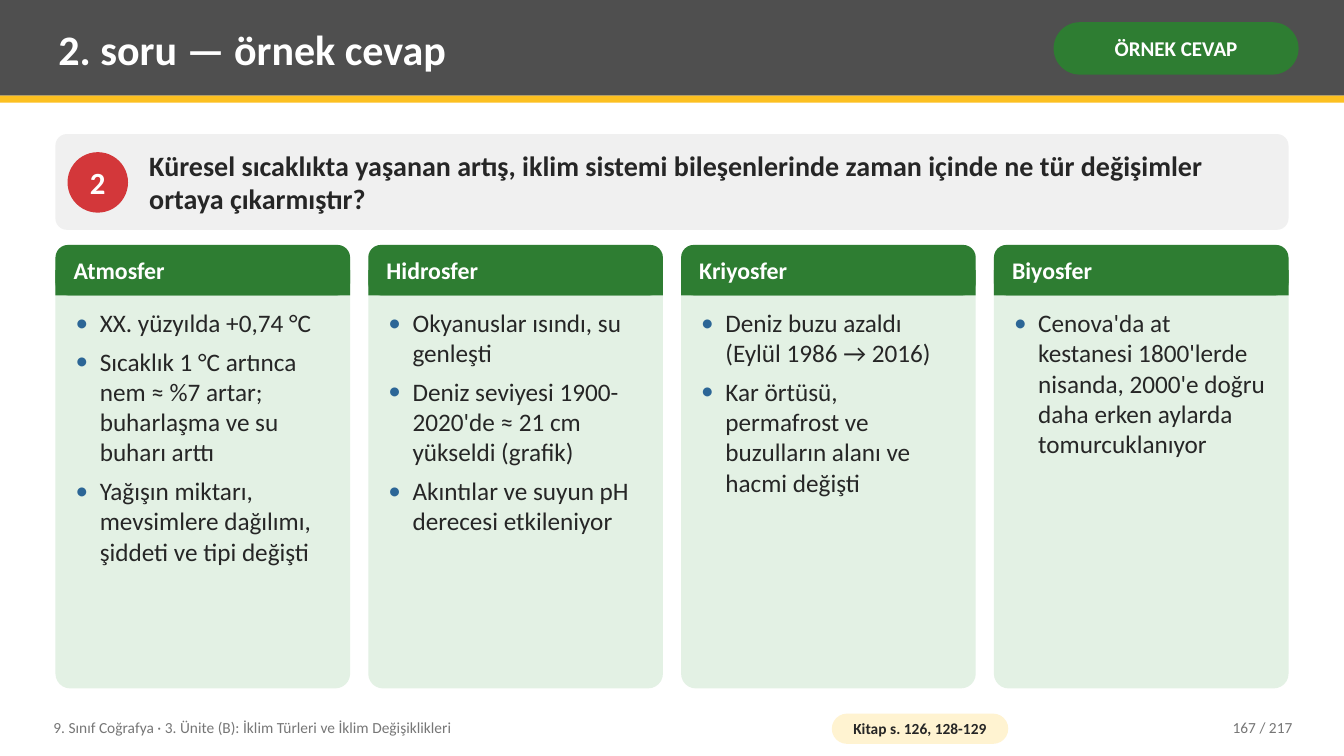
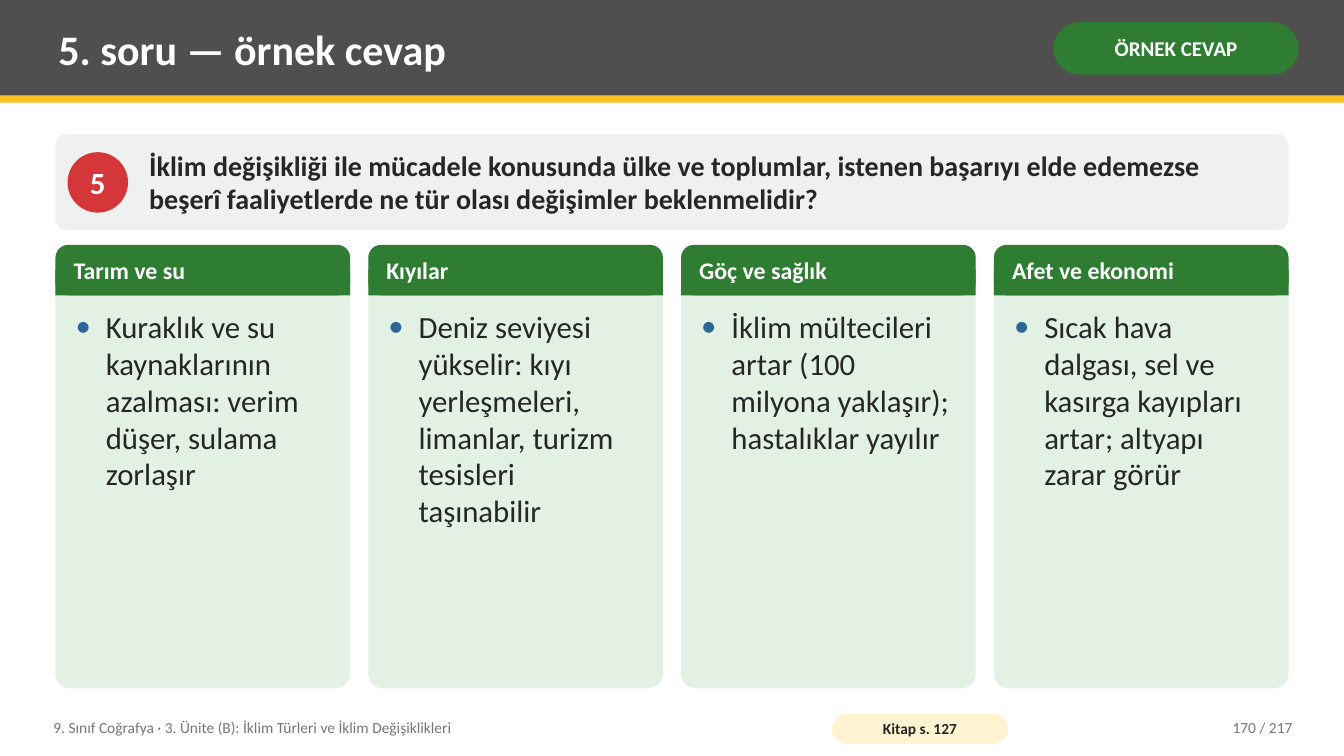
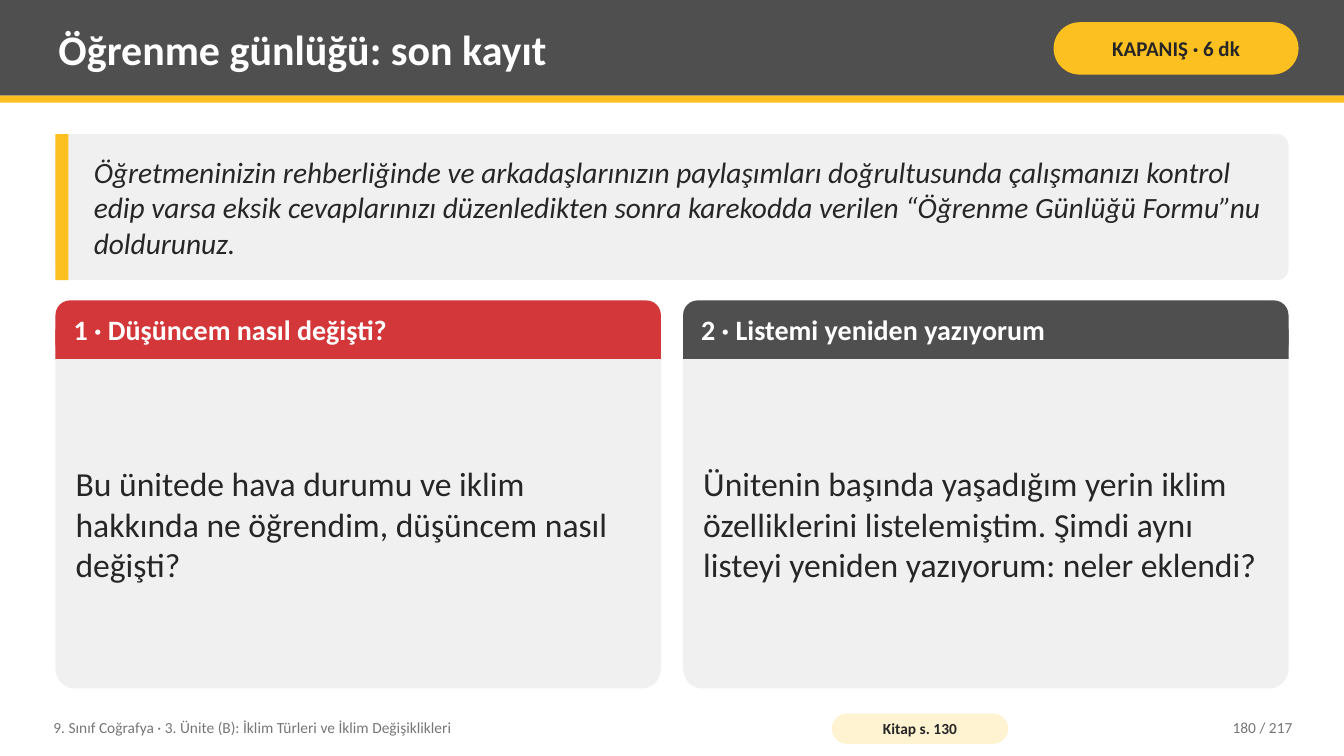
from lxml.etree import SubElement
from pptx import Presentation
from pptx.dml.color import RGBColor
from pptx.enum.shapes import MSO_SHAPE as SHAPE
from pptx.enum.text import MSO_ANCHOR as ANCHOR, PP_ALIGN as ALIGN
from pptx.oxml.ns import qn
from pptx.util import Inches, Pt

WHITE = RGBColor(0xFF, 0xFF, 0xFF)
INK = RGBColor(0x26, 0x26, 0x26)
MUTED = RGBColor(0x76, 0x76, 0x76)
DARK = RGBColor(0x4F, 0x4F, 0x4F)
PALE = RGBColor(0xF0, 0xF0, 0xF0)
YELLOW = RGBColor(0xFC, 0xC0, 0x21)
CREAM = RGBColor(0xFF, 0xF3, 0xD1)
GREEN = RGBColor(0x2E, 0x7D, 0x32)
MINT = RGBColor(0xE3, 0xF1, 0xE4)
RED = RGBColor(0xD3, 0x37, 0x3A)
BLUE = RGBColor(0x2C, 0x66, 0x96)

FONT = "Calibri"
WIDTH, HEIGHT = 13.33, 7.5
LEFT, TOP, CONTENT_W, BOTTOM = 0.55, 1.33, 12.23, 6.83
FOOTER = "9. Sınıf Coğrafya · 3. Ünite (B): İklim Türleri ve İklim Değişiklikleri"
TEXT_INSETS = (0.08, 0.04)


def draw(slide, kind, box, fill, adj=None):
    """Add a flat, borderless preset shape."""
    sp = slide.shapes.add_shape(kind, *map(Inches, box))
    sp.shadow.inherit = False
    sp.fill.solid()
    sp.fill.fore_color.rgb = fill
    sp.line.fill.background()
    if adj is not None:
        sp.adjustments[0] = adj
    return sp


def add_bullet(p, size):
    """Give a paragraph a blue bullet with a hanging indent."""
    pPr = p._p.get_or_add_pPr()
    hang = Inches(0.24 if size < 20 else 0.3)
    pPr.set("marL", str(hang))
    pPr.set("indent", str(-hang))
    SubElement(SubElement(pPr, qn("a:buClr")), qn("a:srgbClr"), val=str(BLUE))
    SubElement(pPr, qn("a:buFont"), typeface=FONT)
    SubElement(pPr, qn("a:buChar"), char="•")


def write(sp, lines, size, color, align=ALIGN.LEFT, anchor=ANCHOR.MIDDLE,
          insets=TEXT_INSETS, wrap=True, bullets=False, **style):
    """Fill a shape with one formatted paragraph per line."""
    tf = sp.text_frame
    dx, dy = map(Inches, insets)
    frame = {"word_wrap": wrap, "vertical_anchor": anchor, "margin_left": dx,
             "margin_right": dx, "margin_top": dy, "margin_bottom": dy}
    for name, value in frame.items():
        setattr(tf, name, value)
    for i, line in enumerate(lines):
        p = tf.add_paragraph() if i else tf.paragraphs[0]
        p.alignment = align
        if bullets:
            add_bullet(p, size)
            if i < len(lines) - 1:
                p.space_after = Pt(6)
        r = p.add_run()
        r.text = line
        r.font.color.rgb = color
        for name, value in {"name": FONT, "size": Pt(size), **style}.items():
            setattr(r.font, name, value)


def label(slide, box, lines, size, color, **options):
    """Add a text box."""
    write(slide.shapes.add_textbox(*map(Inches, box)), lines, size, color, **options)


def pill(slide, box, text, size, fill, color, insets):
    """Add a fully rounded label with centred bold text."""
    sp = draw(slide, SHAPE.ROUNDED_RECTANGLE, box, fill, 0.5)
    write(sp, [text], size, color, align=ALIGN.CENTER, insets=insets, bold=True)


def header(slide, title, tag, tag_fill, tag_color):
    """Draw the title band with its tag."""
    draw(slide, SHAPE.RECTANGLE, (0, 0, WIDTH, 0.95), DARK)
    draw(slide, SHAPE.RECTANGLE, (0, 0.95, WIDTH, 0.07), YELLOW)
    label(slide, (0.5, 0.07, 9.75, 0.82), [title], 30, WHITE, bold=True)
    pill(slide, (10.45, 0.22, 2.43, 0.52), tag, 15, tag_fill, tag_color, (0.05, 0.02))


def footer(slide, pages, number):
    """Draw the course name, book pages and slide number."""
    label(slide, (0.45, 7.04, 7.6, 0.36), [FOOTER], 11, MUTED)
    pill(slide, (8.25, 7.08, 1.75, 0.3), pages, 11, CREAM, INK, (0.04, 0))
    label(slide, (11.3, 7.04, 1.6, 0.36), [f"{number} / 217"], 11, MUTED, align=ALIGN.RIGHT)


def question_bar(slide, box, number, question):
    """Draw a numbered question on a pale panel."""
    x, y, w, h = box
    draw(slide, SHAPE.ROUNDED_RECTANGLE, box, PALE, 0.12)
    badge = draw(slide, SHAPE.OVAL, (x + 0.12, y + 0.18, 0.6, 0.6), RED)
    write(badge, [number], 22, WHITE, align=ALIGN.CENTER, insets=(0, 0), wrap=False, bold=True)
    label(slide, (x + 0.85, y, w - 0.95, h), [question], 20, INK, bold=True)


def instruction_bar(slide, box, text):
    """Draw an italic instruction with a yellow edge."""
    x, y, w, h = box
    draw(slide, SHAPE.ROUNDED_RECTANGLE, box, PALE, 0.08)
    draw(slide, SHAPE.RECTANGLE, (x, y, 0.13, h), YELLOW)
    label(slide, (x + 0.3, y, w - 0.45, h), [text], 21, INK, italic=True)


def card(slide, box, head_h, title, title_size, head_fill, body_fill, lines, size, **options):
    """Draw a card with a coloured heading above its text."""
    x, y, w, h = box
    draw(slide, SHAPE.ROUNDED_RECTANGLE, box, body_fill, 0.05)
    draw(slide, SHAPE.ROUNDED_RECTANGLE, (x, y, w, head_h), head_fill, 0.25)
    draw(slide, SHAPE.RECTANGLE, (x, y + head_h / 2, w, head_h / 2), head_fill)
    label(slide, (x + 0.1, y, w - 0.2, head_h), [title], title_size, WHITE, bold=True)
    label(slide, (x + 0.12, y + head_h + 0.08, w - 0.24, h - head_h - 0.16),
          lines, size, INK, **options)


def columns(count, gap, top):
    """Return equal column boxes from top to the content bottom."""
    w = (CONTENT_W - gap * (count - 1)) / count
    return [(LEFT + i * (w + gap), top, w, BOTTOM - top) for i in range(count)]


def answer_slide(slide, number, question, answers, size, pages, page):
    """Build a sample answer slide with one card per theme."""
    header(slide, f"{number}. soru — örnek cevap", "ÖRNEK CEVAP", GREEN, WHITE)
    question_bar(slide, (LEFT, TOP, CONTENT_W, 0.95), number, question)
    for box, (title, lines) in zip(columns(len(answers), 0.18, 2.43), answers.items()):
        card(slide, box, 0.5, title, 17, GREEN, MINT, lines, size,
             anchor=ANCHOR.TOP, bullets=True)
    footer(slide, pages, page)


def journal_slide(slide, title, tag, instruction, prompts, pages, page):
    """Build the closing journal slide with one card per prompt."""
    header(slide, title, tag, YELLOW, INK)
    instruction_bar(slide, (LEFT, TOP, CONTENT_W, 1.45), instruction)
    for box, (heading, fill, text) in zip(columns(len(prompts), 0.22, 2.98), prompts):
        card(slide, box, 0.58, heading, 20, fill, PALE, [text], 24)
    footer(slide, pages, page)


CLIMATE_ANSWERS = {
    "Atmosfer": [
        "XX. yüzyılda +0,74 °C",
        "Sıcaklık 1 °C artınca nem ≈ %7 artar; buharlaşma ve su buharı arttı",
        "Yağışın miktarı, mevsimlere dağılımı, şiddeti ve tipi değişti",
    ],
    "Hidrosfer": [
        "Okyanuslar ısındı, su genleşti",
        "Deniz seviyesi 1900-2020'de ≈ 21 cm yükseldi (grafik)",
        "Akıntılar ve suyun pH derecesi etkileniyor",
    ],
    "Kriyosfer": [
        "Deniz buzu azaldı (Eylül 1986 → 2016)",
        "Kar örtüsü, permafrost ve buzulların alanı ve hacmi değişti",
    ],
    "Biyosfer": [
        "Cenova'da at kestanesi 1800'lerde nisanda, 2000'e doğru daha erken aylarda "
        "tomurcuklanıyor",
    ],
}
SOCIETY_ANSWERS = {
    "Tarım ve su": ["Kuraklık ve su kaynaklarının azalması: verim düşer, sulama zorlaşır"],
    "Kıyılar": ["Deniz seviyesi yükselir: kıyı yerleşmeleri, limanlar, turizm tesisleri "
                "taşınabilir"],
    "Göç ve sağlık": ["İklim mültecileri artar (100 milyona yaklaşır); hastalıklar yayılır"],
    "Afet ve ekonomi": ["Sıcak hava dalgası, sel ve kasırga kayıpları artar; altyapı zarar "
                        "görür"],
}
JOURNAL_PROMPTS = [
    ("1 · Düşüncem nasıl değişti?", RED,
     "Bu ünitede hava durumu ve iklim hakkında ne öğrendim, düşüncem nasıl değişti?"),
    ("2 · Listemi yeniden yazıyorum", DARK,
     "Ünitenin başında yaşadığım yerin iklim özelliklerini listelemiştim. Şimdi aynı "
     "listeyi yeniden yazıyorum: neler eklendi?"),
]


def main():
    """Build and save the presentation."""
    prs = Presentation()
    prs.slide_width, prs.slide_height = Inches(WIDTH), Inches(HEIGHT)
    blank = prs.slide_layouts[6]
    answer_slide(
        prs.slides.add_slide(blank), "2",
        "Küresel sıcaklıkta yaşanan artış, iklim sistemi bileşenlerinde zaman içinde ne tür "
        "değişimler ortaya çıkarmıştır?",
        CLIMATE_ANSWERS, 18, "Kitap s. 126, 128-129", 167)
    answer_slide(
        prs.slides.add_slide(blank), "5",
        "İklim değişikliği ile mücadele konusunda ülke ve toplumlar, istenen başarıyı elde "
        "edemezse beşerî faaliyetlerde ne tür olası değişimler beklenmelidir?",
        SOCIETY_ANSWERS, 22, "Kitap s. 127", 170)
    journal_slide(
        prs.slides.add_slide(blank), "Öğrenme günlüğü: son kayıt", "KAPANIŞ · 6 dk",
        "Öğretmeninizin rehberliğinde ve arkadaşlarınızın paylaşımları doğrultusunda "
        "çalışmanızı kontrol edip varsa eksik cevaplarınızı düzenledikten sonra karekodda "
        "verilen “Öğrenme Günlüğü Formu”nu doldurunuz.",
        JOURNAL_PROMPTS, "Kitap s. 130", 180)
    prs.save("out.pptx")


if __name__ == "__main__":
    main()
